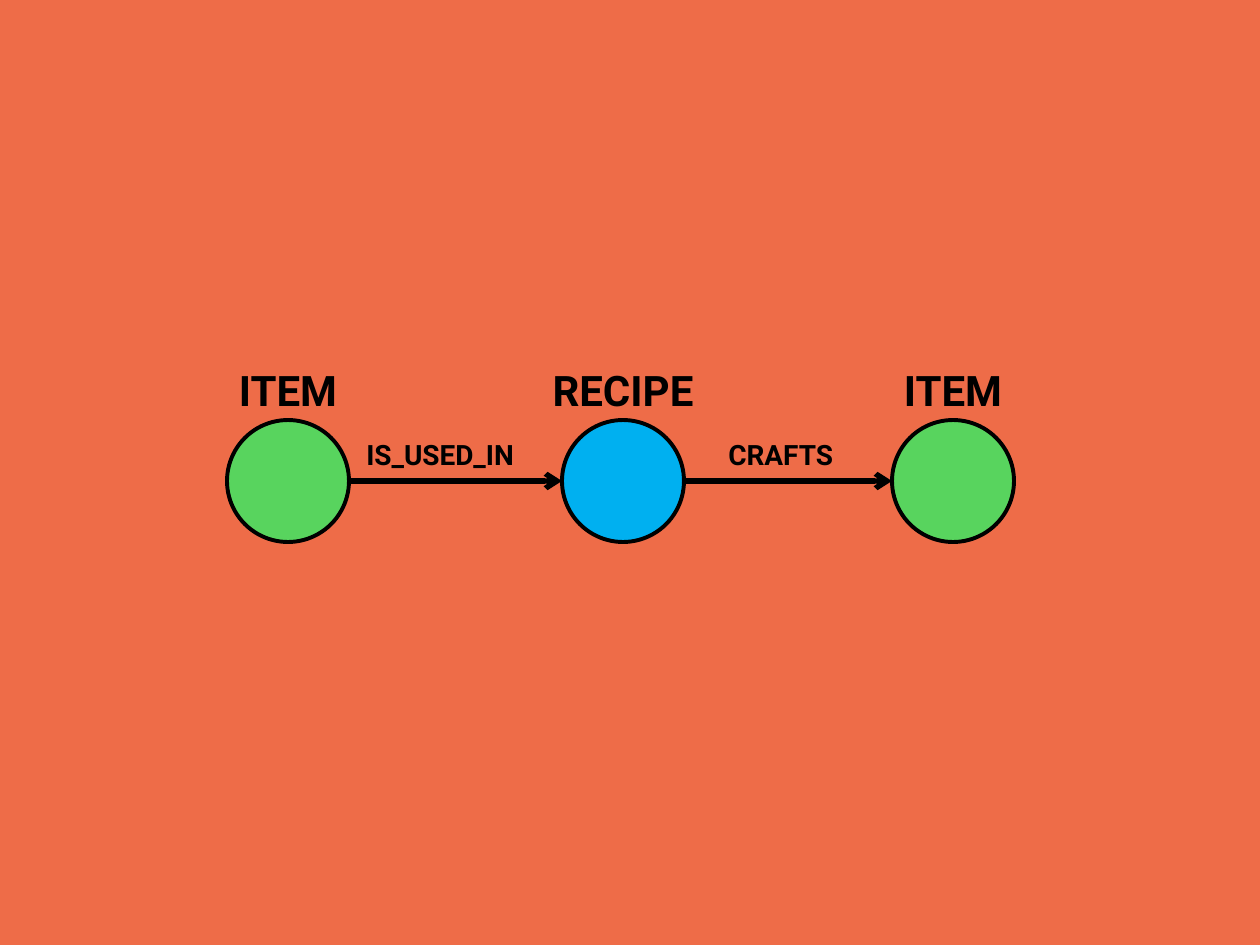
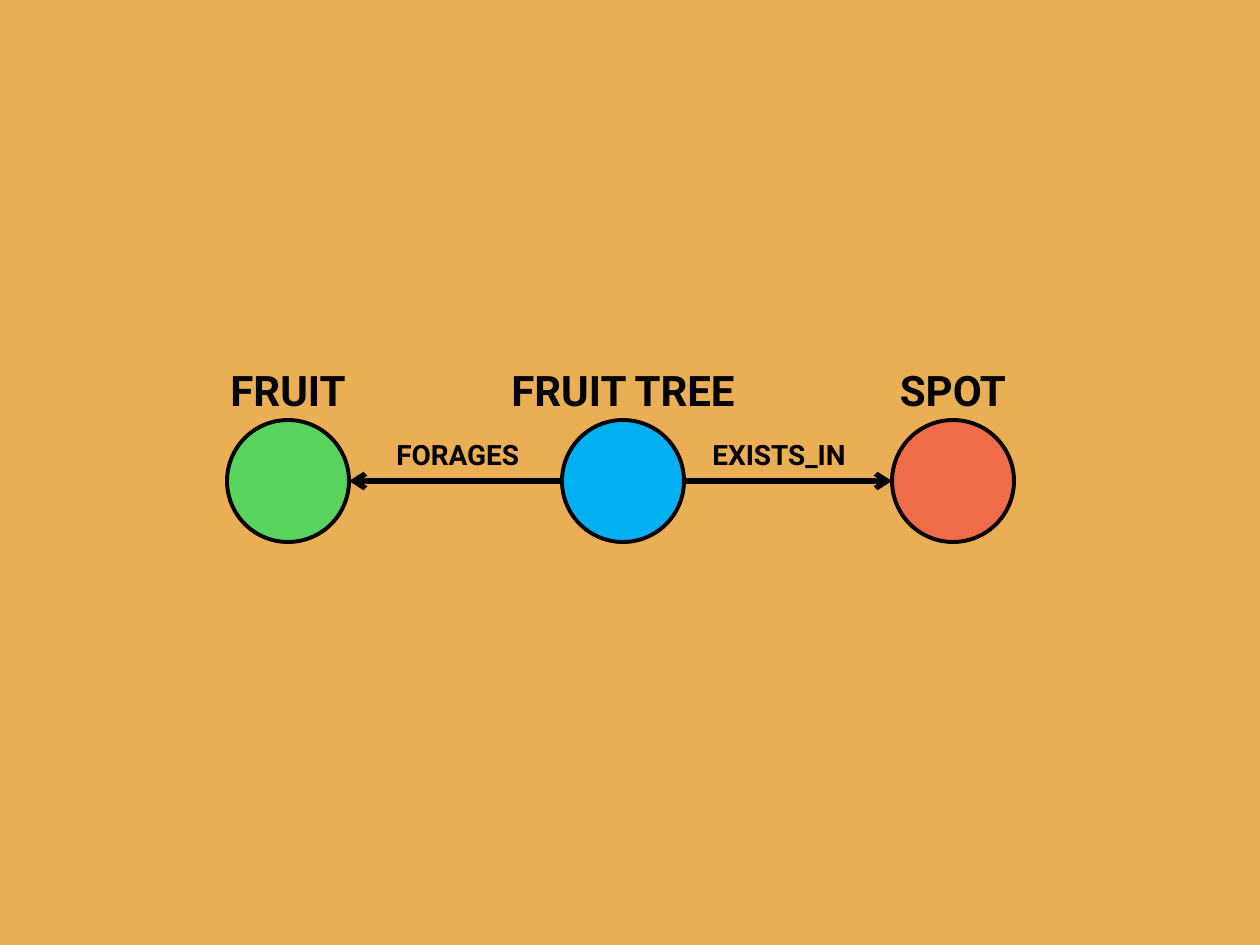
from lxml import etree
from pptx import Presentation
from pptx.dml.color import RGBColor
from pptx.enum.shapes import MSO_CONNECTOR, MSO_SHAPE
from pptx.enum.text import MSO_AUTO_SIZE, PP_ALIGN
from pptx.oxml.ns import qn
from pptx.util import Emu, Pt

STRAIGHT = MSO_CONNECTOR.STRAIGHT
OVAL = MSO_SHAPE.OVAL
FIT_TEXT = MSO_AUTO_SIZE.SHAPE_TO_FIT_TEXT
LEFT, CENTER = PP_ALIGN.LEFT, PP_ALIGN.CENTER

BLACK, GREEN, BLUE = "000000", "58D45E", "00B0F0"
ORANGE, SAND = "EE6C48", "EAAE54"
FONT = "Roboto"

# Nodes: (name, name width, fill), left to right
# Relations: (label, label left, label width, from node, to node)
GRAPHS = [
    {
        "background": ORANGE,
        "nodes": [("ITEM", 126, GREEN), ("RECIPE", 184, BLUE), ("ITEM", 126, GREEN)],
        "relations": [("IS_USED_IN", 354, 190, 0, 1), ("CRAFTS", 716, 140, 1, 2)],
    },
    {
        "background": SAND,
        "nodes": [("FRUIT", 150, GREEN), ("FRUIT TREE", 275, BLUE), ("SPOT", 141, ORANGE)],
        "relations": [("FORAGES", 384, 165, 1, 0), ("EXISTS_IN", 700, 170, 1, 2)],
    },
]

# Layout shared by both graphs, in px
SLIDE_WIDTH, SLIDE_HEIGHT = 1260, 945
NODE_CENTERS = [288, 623, 953]
DIAMETER = 122
RADIUS = DIAMETER // 2
AXIS = 481
NAME_TOP, NAME_HEIGHT = 358, 63
LABEL_TOP, LABEL_HEIGHT = 431, 47


def px(length):
    return Emu(round(length * 914400 / 126))


def rgb(color):
    return RGBColor.from_string(color)


def add_text(shapes, text, left, top, width, height, size, align=LEFT):
    box = shapes.add_textbox(px(left), px(top), px(width), px(height))
    frame = box.text_frame
    frame.word_wrap = False
    frame.auto_size = FIT_TEXT
    paragraph = frame.paragraphs[0]
    paragraph.alignment = align
    run = paragraph.add_run()
    run.text = text
    run.font.name = FONT
    run.font.size = Pt(size)
    run.font.bold = True
    run.font.color.rgb = rgb(BLACK)


def add_node(slide, center, name, name_width, fill):
    shapes = slide.shapes.add_group_shape().shapes
    circle = shapes.add_shape(OVAL, px(center - RADIUS), px(AXIS - RADIUS),
                              px(DIAMETER), px(DIAMETER))
    circle.shadow.inherit = False
    circle.fill.solid()
    circle.fill.fore_color.rgb = rgb(fill)
    circle.line.color.rgb = rgb(BLACK)
    circle.line.width = Pt(2.25)
    add_text(shapes, name, center - name_width / 2, NAME_TOP, name_width,
             NAME_HEIGHT, size=24, align=CENTER)


def add_relation(slide, label, label_left, label_width, source, target):
    # The arrow runs between the facing edges of the two circles
    direction = 1 if target > source else -1
    start = NODE_CENTERS[source] + direction * RADIUS
    end = NODE_CENTERS[target] - direction * RADIUS
    arrow = slide.shapes.add_connector(STRAIGHT, px(start), px(AXIS), px(end), px(AXIS))
    arrow.line.color.rgb = rgb(BLACK)
    arrow.line.width = Pt(3)
    etree.SubElement(arrow.line._get_or_add_ln(), qn("a:tailEnd"), type="arrow")
    etree.SubElement(arrow._element.spPr, qn("a:effectLst"))
    add_text(slide.shapes, label, label_left, LABEL_TOP, label_width,
             LABEL_HEIGHT, size=16)


def main():
    deck = Presentation()
    deck.slide_width, deck.slide_height = px(SLIDE_WIDTH), px(SLIDE_HEIGHT)
    for graph in GRAPHS:
        slide = deck.slides.add_slide(deck.slide_layouts[6])
        slide.background.fill.solid()
        slide.background.fill.fore_color.rgb = rgb(graph["background"])
        for relation in graph["relations"]:
            add_relation(slide, *relation)
        for center, node in zip(NODE_CENTERS, graph["nodes"]):
            add_node(slide, center, *node)
    deck.save("out.pptx")


if __name__ == "__main__":
    main()
